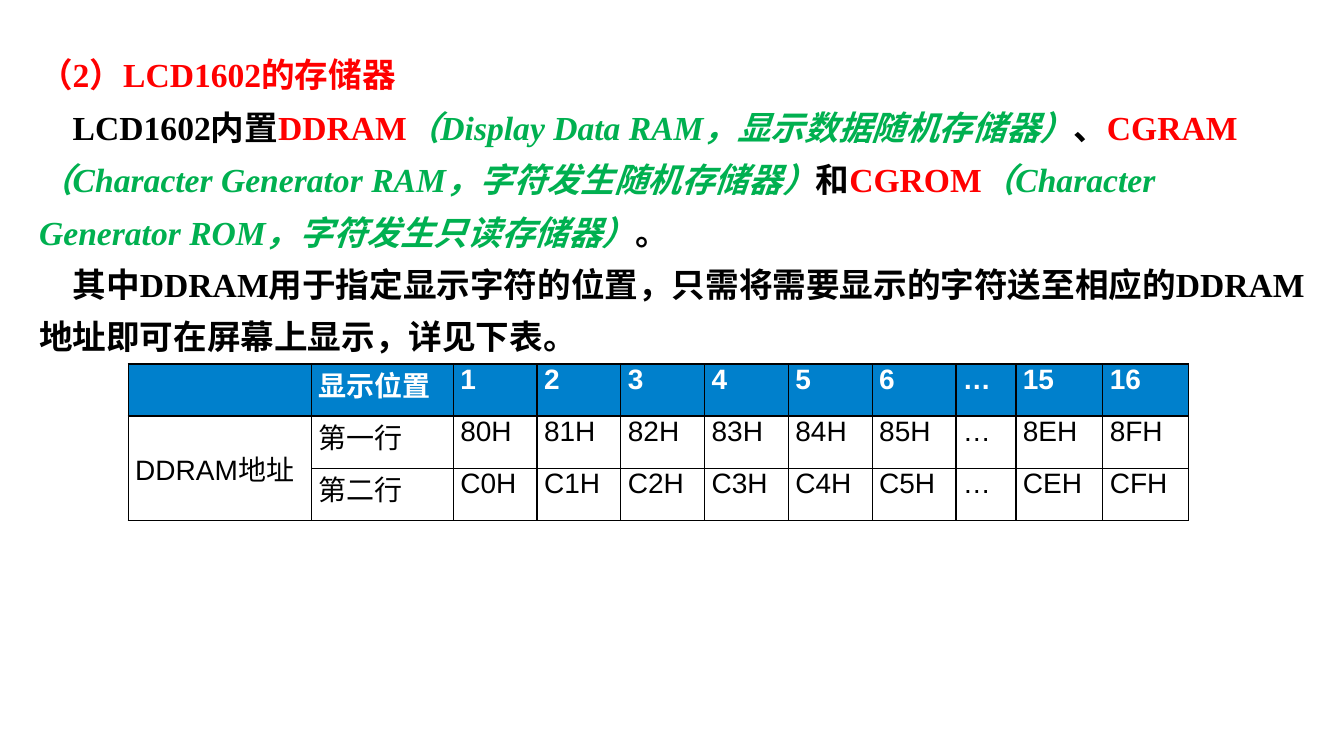
from lxml import etree
from pptx import Presentation
from pptx.dml.color import RGBColor
from pptx.enum.text import MSO_ANCHOR
from pptx.oxml.ns import qn
from pptx.util import Pt

MIDDLE = MSO_ANCHOR.MIDDLE
TOP = MSO_ANCHOR.TOP

COLORS = {
    "black": "000000",
    "white": "FFFFFF",
    "term": "FF0000",
    "gloss": "00B050",
    "header": "0080CC",
}

# Each paragraph: first-line indent in points, then (text, colour) runs.
MEMORY_TEXT = [
    (0, [("（2）LCD1602的存储器", "term")]),
    (24, [
        ("LCD1602内置", "black"),
        ("DDRAM", "term"),
        ("（Display Data RAM，显示数据随机存储器）", "gloss"),
        ("、", "black"),
        ("CGRAM", "term"),
        ("（Character Generator RAM，字符发生随机存储器）", "gloss"),
        ("和", "black"),
        ("CGROM", "term"),
        ("（Character Generator ROM，字符发生只读存储器）", "gloss"),
        ("。", "black"),
    ]),
    (24, [("其中DDRAM用于指定显示字符的位置，只需将需要显示的字符送至相应的"
           "DDRAM地址即可在屏幕上显示，详见下表。", "black")]),
]

ADDRESS_ROWS = [
    ["", "显示位置", "1", "2", "3", "4", "5", "6", "…", "15", "16"],
    ["DDRAM地址", "第一行", "80H", "81H", "82H", "83H", "84H", "85H", "…", "8EH", "8FH"],
    ["", "第二行", "C0H", "C1H", "C2H", "C3H", "C4H", "C5H", "…", "CEH", "CFH"],
]
COLUMN_WIDTHS = [131, 101] + [59.8] * 6 + [42.8, 62, 61]


def rgb(name):
    return RGBColor.from_string(COLORS[name])


def format_font(font, name, size, color, bold):
    font.name = name
    font.size = Pt(size)
    font.bold = bold
    font.color.rgb = rgb(color)


def add_memory_text(slide, left, top, width, height):
    text_frame = slide.shapes.add_textbox(Pt(left), Pt(top), Pt(width), Pt(height)).text_frame
    text_frame.word_wrap = True
    for index, (indent, runs) in enumerate(MEMORY_TEXT):
        paragraph = text_frame.add_paragraph() if index else text_frame.paragraphs[0]
        paragraph.line_spacing = 1.3
        properties = paragraph._p.get_or_add_pPr()
        properties.set("marL", "0")
        properties.set("indent", str(Pt(indent)))
        for text, color in runs:
            run = paragraph.add_run()
            run.text = text
            format_font(run.font, "Times New Roman", 24, color, True)
            run.font.italic = color == "gloss"


def set_borders(cell):
    """Draw a thin black line on all four sides of a cell."""
    properties = cell._tc.get_or_add_tcPr()
    for position, side in enumerate(("a:lnL", "a:lnR", "a:lnT", "a:lnB")):
        line = etree.Element(qn(side), w=str(Pt(1)))
        fill = etree.SubElement(line, qn("a:solidFill"))
        etree.SubElement(fill, qn("a:srgbClr"), val=COLORS["black"])
        properties.insert(position, line)


def format_cell(cell, text, is_header, anchor):
    cell.margin_left = cell.margin_right = Pt(5)
    cell.margin_top = cell.margin_bottom = 0
    cell.vertical_anchor = anchor
    cell.fill.solid()
    cell.fill.fore_color.rgb = rgb("header" if is_header else "white")
    set_borders(cell)
    if text:
        cell.text_frame.text = text
        font = cell.text_frame.paragraphs[0].runs[0].font
        format_font(font, "Arial", 20, "white" if is_header else "black", is_header)


def add_address_table(slide, left, top, width, height):
    table = slide.shapes.add_table(
        len(ADDRESS_ROWS), len(COLUMN_WIDTHS), Pt(left), Pt(top), Pt(width), Pt(height)).table
    table.first_row = table.horz_banding = False
    for column, column_width in zip(table.columns, COLUMN_WIDTHS):
        column.width = Pt(width * column_width / sum(COLUMN_WIDTHS))
    for row_index, texts in enumerate(ADDRESS_ROWS):
        for column_index, text in enumerate(texts):
            is_row_label = row_index > 0 and column_index == 0
            format_cell(table.cell(row_index, column_index), text,
                        row_index == 0, MIDDLE if is_row_label else TOP)
    table.cell(1, 0).merge(table.cell(2, 0))


def add_memory_slide(presentation):
    slide = presentation.slides.add_slide(presentation.slide_layouts[6])
    add_memory_text(slide, 20.9, 26.6, 918.7, 234)
    add_address_table(slide, 91.6, 260, 757.4, 111.6)


def main():
    presentation = Presentation()
    presentation.slide_width = Pt(960)
    presentation.slide_height = Pt(540)
    add_memory_slide(presentation)
    presentation.save("out.pptx")


if __name__ == "__main__":
    main()
